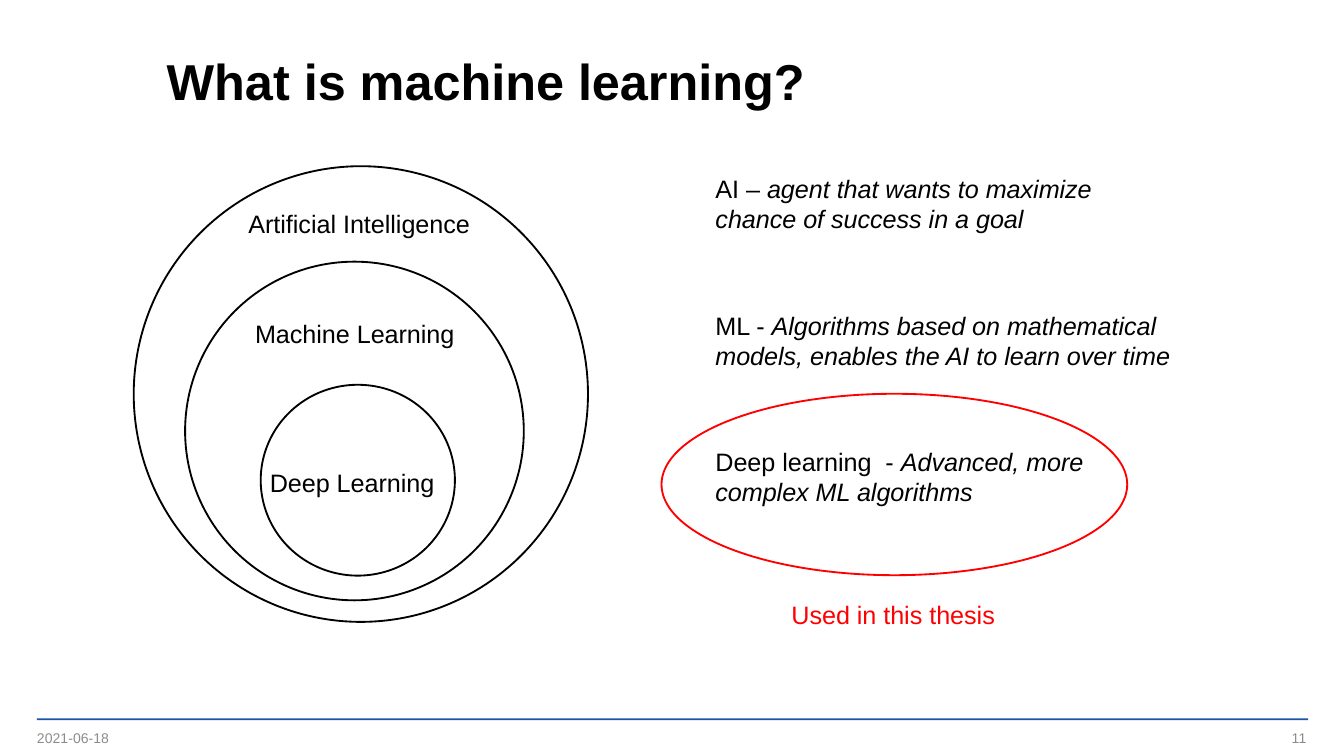
from pptx import Presentation
from pptx.dml.color import RGBColor
from pptx.enum.shapes import MSO_SHAPE
from pptx.enum.text import MSO_ANCHOR, MSO_AUTO_SIZE, PP_ALIGN
from pptx.util import Inches, Pt

COLUMNS, ROWS = 100, 56.25
BLACK, RED, BLUE, GREY = "000000", "FF0000", "1954A6", "8C8C8C"


def colour(value):
    """Turn a hex string into a colour."""
    return RGBColor.from_string(value)


class SlideBuilder:
    """Draw styled elements on a slide, placed in grid columns and rows."""

    font_name = "Arial"
    body_size = 13.5
    line_width = 1

    def __init__(self, presentation):
        self.column = presentation.slide_width / COLUMNS
        self.row = presentation.slide_height / ROWS
        self.slide = presentation.slides.add_slide(presentation.slide_layouts[5])

    def box(self, left, top, width, height):
        """Convert grid units to slide lengths."""
        units = (self.column, self.row) * 2
        return [round(value * unit) for value, unit in zip((left, top, width, height), units)]

    def style(self, run, **changes):
        """Apply the house font with any changes to a run."""
        values = {"name": self.font_name, "size": self.body_size, "color": BLACK, **changes}
        run.font.color.rgb = colour(values.pop("color"))
        values["size"] = Pt(values["size"])
        for name, value in values.items():
            setattr(run.font, name, value)

    def frame(self, text_frame, **settings):
        """Apply settings to a text frame."""
        for name, value in settings.items():
            setattr(text_frame, name, value)

    def flat_frame(self, text_frame):
        """Centre a text frame vertically and remove its margins."""
        margins = {f"margin_{side}": 0 for side in ("left", "top", "right", "bottom")}
        self.frame(text_frame, word_wrap=True, auto_size=MSO_AUTO_SIZE.NONE,
                   vertical_anchor=MSO_ANCHOR.MIDDLE, **margins)

    def title(self, text, place):
        """Move and format the title placeholder."""
        shape = self.slide.shapes.title
        shape.left, shape.top, shape.width, shape.height = self.box(*place)
        self.flat_frame(shape.text_frame)
        paragraph = shape.text_frame.paragraphs[0]
        paragraph.alignment = PP_ALIGN.LEFT
        paragraph.line_spacing = 0.9
        run = paragraph.add_run()
        run.text = text
        self.style(run, size=27, bold=True)

    def text(self, place, plain, italic="", wrap=False, **font):
        """Add a text box with a plain part and an optional italic part."""
        shape = self.slide.shapes.add_textbox(*self.box(*place))
        self.frame(shape.text_frame, word_wrap=wrap, auto_size=MSO_AUTO_SIZE.SHAPE_TO_FIT_TEXT)
        paragraph = shape.text_frame.paragraphs[0]
        for part, slanted in ((plain, False), (italic, True)):
            if part:
                run = paragraph.add_run()
                run.text = part
                self.style(run, italic=slanted, **font)
        return shape

    def footer(self, place, text, alignment):
        """Add a small grey footer text."""
        shape = self.text(place, text, size=7.5, color=GREY)
        self.flat_frame(shape.text_frame)
        shape.text_frame.paragraphs[0].alignment = alignment

    def ellipse(self, place, line):
        """Add an unfilled ellipse."""
        shape = self.slide.shapes.add_shape(MSO_SHAPE.OVAL, *self.box(*place))
        shape.shadow.inherit = False
        shape.fill.background()
        shape.line.color.rgb = colour(line)
        shape.line.width = Pt(self.line_width)

    def rule(self, place, fill):
        """Add a thin filled bar without an outline."""
        shape = self.slide.shapes.add_shape(MSO_SHAPE.RECTANGLE, *self.box(*place))
        shape.shadow.inherit = False
        shape.fill.solid()
        shape.fill.fore_color.rgb = colour(fill)
        shape.line.fill.background()


def main():
    """Build and save the slide."""
    presentation = Presentation()
    presentation.slide_width = Inches(10)
    presentation.slide_height = presentation.slide_width * 9 // 16
    builder = SlideBuilder(presentation)

    builder.rule((2.74, 53.46, 94.6, 0.13), BLUE)
    builder.footer((74.7, 53.65, 22.5, 2.5), "11", PP_ALIGN.RIGHT)
    builder.footer((2.75, 53.65, 22.5, 2.5), "2021-06-18", PP_ALIGN.LEFT)
    builder.title("What is machine learning?", (12.4, 2.7, 84.9, 7.1))

    fields = [
        ((9.95, 12.37, 33.8, 33.9), (17.5, 15, 18.7, 3.3), "Artificial Intelligence"),
        ((13.77, 19.47, 25.2, 25.2), (18, 23.2, 17.1, 3.3), "Machine Learning"),
        ((19.4, 28.63, 14.45, 14.2), (19.1, 34.3, 14.4, 3.3), "Deep Learning"),
    ]
    for circle, label, name in fields:
        builder.ellipse(circle, BLACK)
        builder.text(label, name)

    definitions = [
        (33.9, "AI – ", "agent that wants to maximize chance of success in a goal"),
        (36, "ML - ", "Algorithms based on mathematical models, enables the AI to learn over time"),
        (36, "Deep learning  - ", "Advanced, more complex ML algorithms"),
    ]
    for index, (width, term, meaning) in enumerate(definitions):
        builder.text((52.25, 12.4 + 10.17 * index, width, 5.6), term, meaning, wrap=True)

    builder.ellipse((49.22, 29.3, 34.65, 13.5), RED)
    builder.text((57.9, 44.1, 17.9, 3.3), "Used in this thesis", color=RED)
    presentation.save("out.pptx")


if __name__ == "__main__":
    main()
